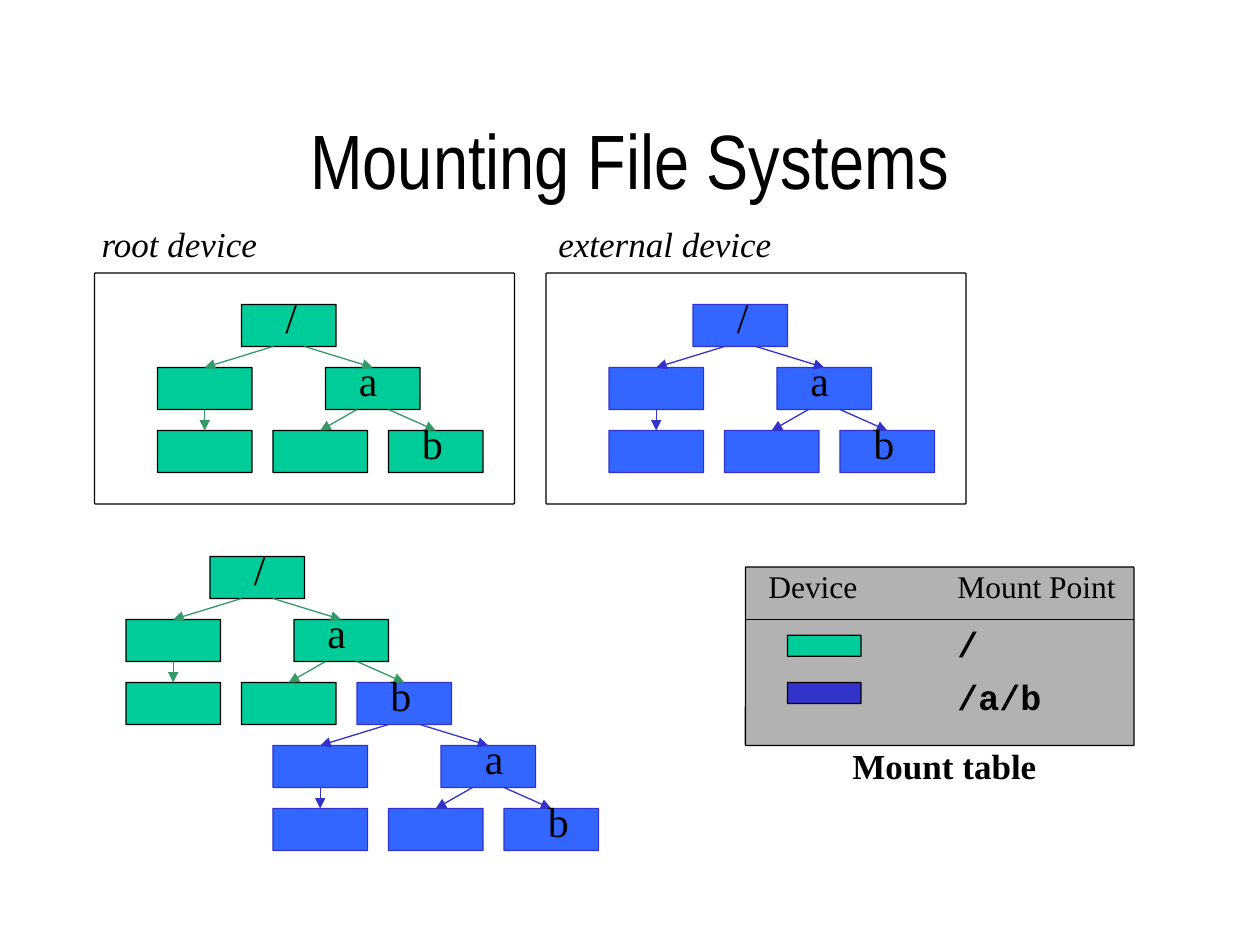
from dataclasses import dataclass
from lxml.etree import SubElement
from pptx import Presentation
from pptx.dml.color import RGBColor
from pptx.enum.shapes import MSO_CONNECTOR, MSO_SHAPE
from pptx.enum.text import MSO_ANCHOR, MSO_AUTO_SIZE, PP_ALIGN
from pptx.oxml.ns import qn
from pptx.util import Inches, Pt


@dataclass(frozen=True)
class Palette:
    fill: str
    line: str
    arrow: str


@dataclass(frozen=True)
class Theme:
    ink = "000000"
    panel = "B2B2B2"
    root = Palette("00CC99", "000000", "339966")
    external = Palette("3366FF", "3333CC", "3333CC")
    line_width = 0.75
    title = dict(name="Arial Narrow", size=Pt(44))
    node = dict(name="Times New Roman", size=Pt(24))
    caption = dict(name="Times New Roman", size=Pt(20), italic=True)
    strong = dict(name="Times New Roman", size=Pt(20), bold=True)
    header = dict(name="Times New Roman", size=Pt(18))
    code = dict(name="Courier New", size=Pt(20), bold=True)


NODE_W, NODE_H = 9, 4
NODES = {"root": (8, 0), "left": (0, 6), "a": (16, 6),
         "left_leaf": (0, 12), "mid_leaf": (11, 12), "b": (22, 12)}
BRANCHES = [("root", 3, "left"), ("root", 6, "a"), ("left", None, "left_leaf"),
            ("a", 3, "mid_leaf"), ("a", 6, "b")]


class Deck:
    columns, rows = 120, 90

    def __init__(self, theme, width=10, height=7.5):
        self.theme = theme
        self.prs = Presentation()
        self.prs.slide_width, self.prs.slide_height = Inches(width), Inches(height)
        self.s = None

    def new_slide(self):
        self.s = self.prs.slides.add_slide(self.prs.slide_layouts[6])

    def grid(self, *values):
        spans = (self.prs.slide_width / self.columns, self.prs.slide_height / self.rows)
        return [round(v * spans[i % 2]) for i, v in enumerate(values)]

    def stroke(self, sp, color):
        sp.line.color.rgb = RGBColor.from_string(color)
        sp.line.width = Pt(self.theme.line_width)

    def box(self, x, y, w, h, fill=None, line=Theme.ink):
        sp = self.s.shapes.add_shape(MSO_SHAPE.ROUNDED_RECTANGLE, *self.grid(x, y, w, h))
        sp.adjustments[0] = 0.005
        sp.shadow.inherit = False
        if fill:
            sp.fill.solid()
            sp.fill.fore_color.rgb = RGBColor.from_string(fill)
        else:
            sp.fill.background()
        self.stroke(sp, line)
        return sp

    def text(self, x, y, w, h, content, style, spacing=0.82, align=PP_ALIGN.LEFT,
             anchor=MSO_ANCHOR.TOP, fit=MSO_AUTO_SIZE.SHAPE_TO_FIT_TEXT):
        tf = self.s.shapes.add_textbox(*self.grid(x, y, w, h)).text_frame
        for key, value in dict(word_wrap=True, auto_size=fit, vertical_anchor=anchor).items():
            setattr(tf, key, value)
        p = tf.paragraphs[0]
        p.alignment, p.line_spacing = align, spacing
        r = p.add_run()
        r.text = content
        for key, value in style.items():
            setattr(r.font, key, value)
        r.font.color.rgb = RGBColor.from_string(self.theme.ink)

    def line(self, x1, y1, x2, y2, color=Theme.ink, arrow=False):
        sp = self.s.shapes.add_connector(MSO_CONNECTOR.STRAIGHT, *self.grid(x1, y1, x2, y2))
        self.stroke(sp, color)
        if arrow:
            SubElement(sp.line._get_or_add_ln(), qn("a:tailEnd"), type="triangle")
        SubElement(sp._element.spPr, qn("a:effectLst"))
        return sp

    def tree(self, x, y, palette, labels, b_palette=None, top=None):
        boxes = {"root": top} if top else {}
        for name, (dx, dy) in NODES.items():
            if name not in boxes:
                look = b_palette if name == "b" and b_palette else palette
                boxes[name] = self.box(x + dx, y + dy, NODE_W, NODE_H, look.fill, look.line)
        for parent, offset, child in BRANCHES:
            (px, py), (cx, cy) = NODES[parent], NODES[child]
            start = NODE_W / 2 if offset is None else offset
            sp = self.line(x + px + start, y + py + NODE_H,
                           x + cx + NODE_W / 2, y + cy, palette.arrow, arrow=True)
            if offset is None:
                sp.begin_connect(boxes[parent], 2)
            sp.end_connect(boxes[child], 0)
        for name, (label, shift) in labels.items():
            dx, dy = NODES[name]
            self.text(x + dx + shift, y + dy - 1, 9, 5.2, label, self.theme.node)
        return boxes

    def mount_table(self, x, y, w, h, entries):
        theme = self.theme
        self.box(x, y, w, h, theme.panel)
        self.line(x, y + 5, x + w, y + 5)
        for dx, heading in ((1, "Device"), (19, "Mount Point")):
            self.text(x + dx, y, 30, 4.2, heading, theme.header)
        for i, (color, place) in enumerate(entries):
            self.box(x + 4, y + 6.5 + 4.5 * i, 7, 2, color)
            self.text(x + 19, y + 5 + 5 * i, 14, 5, place, theme.code, spacing=0.95)
        self.text(x + 9, y + h, 20, 4.6, "Mount table", theme.strong)


def main():
    theme = Theme()
    deck = Deck(theme)
    deck.new_slide()
    deck.text(9, 8, 102, 15, "Mounting File Systems", theme.title, 0.97,
              PP_ALIGN.CENTER, MSO_ANCHOR.MIDDLE, MSO_AUTO_SIZE.NONE)

    labels = {"root": ("/", 3), "a": ("a", 2), "b": ("b", 2)}
    devices = [(9, 8.5, "root device", theme.root),
               (52, 52, "external device", theme.external)]
    for x, caption_x, caption, palette in devices:
        deck.box(x, 26, 40, 22)
        deck.tree(x + 6, 29, palette, labels)
        deck.text(caption_x, 21.3, 25, 4.6, caption, theme.caption)

    mounted = deck.tree(12, 53, theme.root, labels, b_palette=theme.external)
    deck.tree(26, 65, theme.external, {"a": ("a", 3), "b": ("b", 3)}, top=mounted["b"])

    deck.mount_table(71, 54, 37, 17, [(theme.root.fill, "/"), (theme.external.line, "/a/b")])
    deck.prs.save("out.pptx")


if __name__ == "__main__":
    main()
